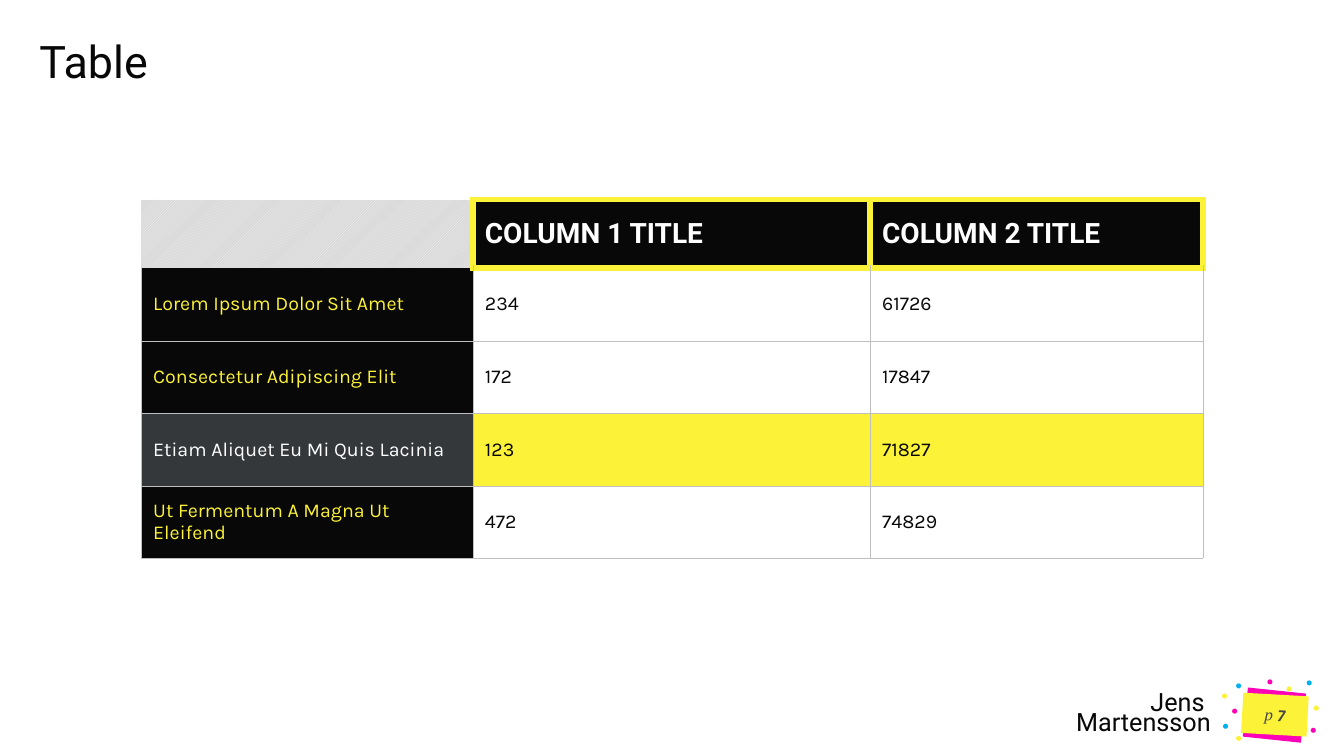
from lxml.etree import SubElement as Sub
from pptx import Presentation
from pptx.dml.color import RGBColor as RGB
from pptx.enum.dml import MSO_PATTERN
from pptx.enum.shapes import MSO_SHAPE as Kind
from pptx.enum.text import MSO_ANCHOR as Anchor, PP_ALIGN as Align
from pptx.oxml.ns import qn
from pptx.util import Inches, Pt

# Content
TITLE = "Table"
OWNER = "Jens \vMartensson"
PAGE = ("p ", "7")
ROWS = [
    ("", "COLUMN 1 TITLE", "COLUMN 2 TITLE"),
    ("Lorem Ipsum Dolor Sit Amet", "234", "61726"),
    ("Consectetur Adipiscing Elit", "172", "17847"),
    ("Etiam Aliquet Eu Mi Quis Lacinia", "123", "71827"),
    ("Ut Fermentum A Magna Ut Eleifend", "472", "74829"),
]
MARKED = 3
HEX = {
    "black": "080808", "white": "FFFFFF", "yellow": "FCF238", "pink": "FF01B6",
    "blue": "00B0F0", "slate": "34383B", "rule": "BFBFBF", "page": "464646",
    "light": "F2F2F2", "grey": "D9D9D9",
}
DOTS = {
    "blue": [(12.96, 6.75), (12.26, 6.78), (12.13, 7.18)],
    "pink": [(12.57, 6.74), (13, 7.22), (12.22, 7.03)],
    "yellow": [(12.12, 6.88), (12.76, 6.81), (13.03, 7), (12.26, 7.3)],
}

# Layout, in inches
WIDE, HIGH = 13.33, 7.5
EDGE = 0.39
COLS = (3.29, 3.94, 3.3)
HEAD, BODY = 0.68, 0.72
LEFT = (WIDE - sum(COLS)) / 2
TOP = 1.98
DOT = 0.05


def color(name):
    return RGB.from_string(HEX[name])


def style(font, face, size, name, bold=False):
    font.name, font.size, font.bold = face, Pt(size), bold
    font.color.rgb = color(name)


def bare(frame, anchor):
    frame.margin_left = frame.margin_right = 0
    frame.margin_top = frame.margin_bottom = 0
    frame.vertical_anchor = anchor
    frame.word_wrap = True


def draw(kind, box, name, turn=0):
    shape = slide.shapes.add_shape(kind, *map(Inches, box))
    shape.shadow.inherit = False
    shape.fill.solid()
    shape.fill.fore_color.rgb = color(name)
    shape.line.fill.background()
    shape.rotation = turn
    return shape


def border(cell, side, line):
    name, width = line or (None, 0)
    edge = Sub(cell._tc.get_or_add_tcPr(), qn("a:ln" + side), w=str(Pt(width)))
    if name:
        Sub(Sub(edge, qn("a:solidFill")), qn("a:srgbClr"), val=HEX[name])
    else:
        Sub(edge, qn("a:noFill"))


def lines(row, col):
    thick, thin = ("yellow", 4.5), ("rule", 0.25)
    if row == 0:
        return (thick,) * 4 if col else (None, thick, None, None)
    top = thin if row > 1 else thick if col else None
    return thin, thin, top, thin


def look(row, col):
    """Fill and text colour of a cell."""
    if row == 0:
        return "black", "white"
    if col == 0:
        return ("slate", "white") if row == MARKED else ("black", "yellow")
    return ("yellow" if row == MARKED else "white"), "black"


deck = Presentation()
deck.slide_width, deck.slide_height = Inches(WIDE), Inches(HIGH)
slide = deck.slides.add_slide(deck.slide_layouts[5])

# Title
title = slide.shapes.title
title.left, title.top = Inches(EDGE), Inches(EDGE)
title.width, title.height = Inches(WIDE - 2 * EDGE), Inches(0.59)
title.text_frame.text = TITLE
bare(title.text_frame, Anchor.TOP)
para = title.text_frame.paragraphs[0]
para.alignment, para.line_spacing = Align.LEFT, 0.9
style(para.font, "Roboto", 32, "black")

# Owner name
owner = slide.shapes.add_textbox(*map(Inches, (10.38, 6.91, 1.63, 0.4)))
owner.text_frame.text = OWNER
bare(owner.text_frame, Anchor.MIDDLE)
para = owner.text_frame.paragraphs[0]
para.alignment, para.line_spacing = Align.RIGHT, Pt(14)
style(para.font, "Roboto", 18, "black")

# Page badge with confetti
draw(Kind.RECTANGLE, (12.35, 6.85, 0.58, 0.49), "pink", 6)
for name, spots in DOTS.items():
    for x, y in spots:
        draw(Kind.OVAL, (x, y, DOT, DOT), name)
badge = draw(Kind.RECTANGLE, (12.32, 6.89, 0.65, 0.4), "yellow", 3.2)
bare(badge.text_frame, Anchor.MIDDLE)
para = badge.text_frame.paragraphs[0]
para.alignment = Align.CENTER
for text, face, bold in zip(PAGE, ("Times New Roman", "Karla"), (False, True)):
    run = para.add_run()
    run.text = text
    style(run.font, face, 12, "page", bold)
    run.font.italic = True

# Table
tall = HEAD + BODY * (len(ROWS) - 1)
box = map(Inches, (LEFT, TOP, sum(COLS), tall))
table = slide.shapes.add_table(len(ROWS), len(COLS), *box).table
table.first_row = table.horz_banding = False
for column, width in zip(table.columns, COLS):
    column.width = Inches(width)
for r, texts in enumerate(ROWS):
    table.rows[r].height = Inches(BODY if r else HEAD)
    for c, text in enumerate(texts):
        cell = table.cell(r, c)
        cell.vertical_anchor = Anchor.MIDDLE
        cell.margin_left = cell.margin_right = Inches(0.12)
        cell.margin_top = cell.margin_bottom = Inches(0.11)
        for side, line in zip("LRTB", lines(r, c)):
            border(cell, side, line)
        if not text:
            cell.fill.patterned()
            cell.fill.pattern = MSO_PATTERN.DARK_UPWARD_DIAGONAL
            cell.fill.fore_color.rgb = color("light")
            cell.fill.back_color.rgb = color("grey")
            continue
        back, ink = look(r, c)
        cell.fill.solid()
        cell.fill.fore_color.rgb = color(back)
        cell.text = text
        face, size = ("Karla", 14) if r else ("Roboto", 20)
        style(cell.text_frame.paragraphs[0].font, face, size, ink, r == 0)

deck.save("out.pptx")
